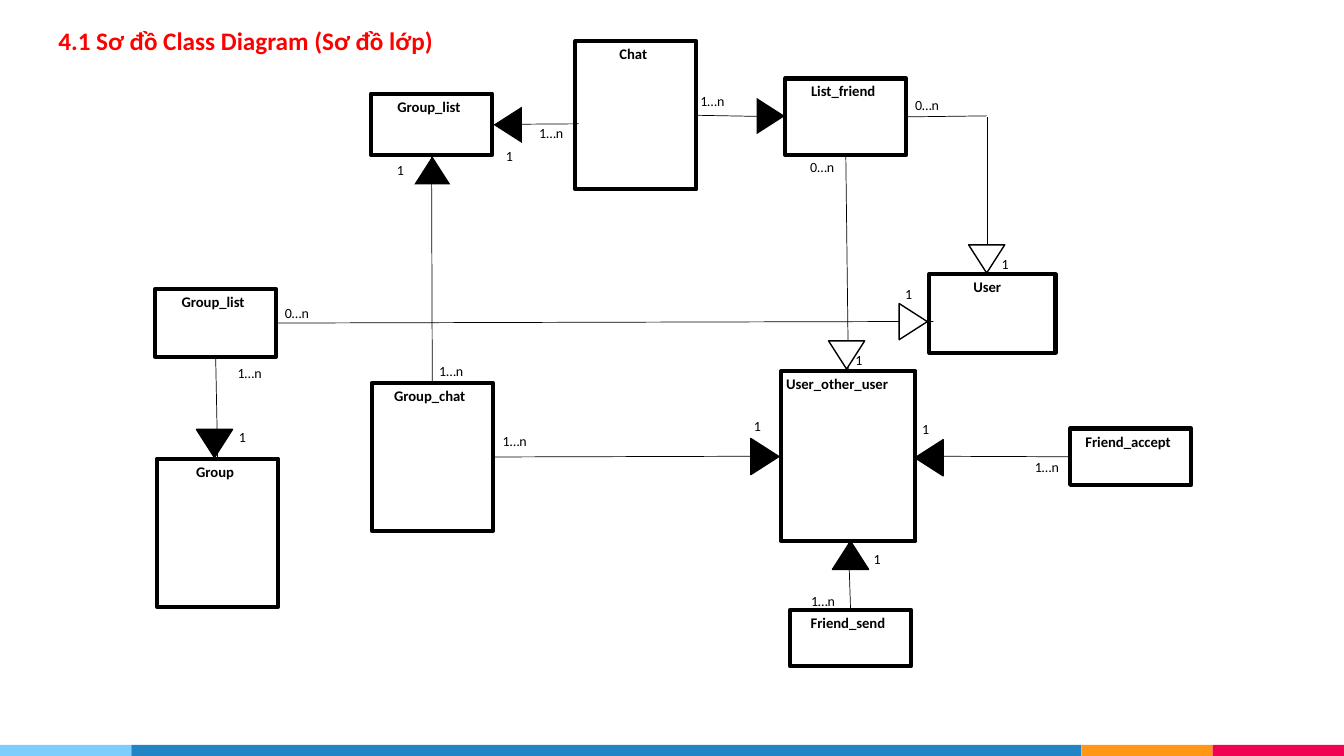
"""Build the class diagram slide of a chat application."""
from pptx import Presentation
from pptx import util as u
from pptx.dml import color
from pptx.enum import shapes, text
from pptx.oxml import ns
from lxml import etree

COLORS = {"black": "000000", "white": "FFFFFF", "red": "FF0000", "sky": "7ECEFD",
          "blue": "2185C5", "orange": "FF9715", "pink": "F20253"}

prs = Presentation()
prs.slide_width, prs.slide_height = u.Cm(33.87), u.Cm(19.05)
s = prs.slides.add_slide(prs.slide_layouts[6])


def add_shape(kind, x, y, w, h, fill, line=0):
    sp = s.shapes.add_shape(kind, u.Cm(x), u.Cm(y), u.Cm(w), u.Cm(h))
    sp.shadow.inherit = False
    sp.fill.solid()
    sp.fill.fore_color.rgb = color.RGBColor.from_string(COLORS[fill])
    if line:
        sp.line.color.rgb = color.RGBColor.from_string(COLORS["black"])
        sp.line.width = u.Pt(line)
    else:
        sp.line.fill.background()
    return sp


def add_text(content, x, y, w, h, size, ink="black", bold=False, wrap=False):
    tf = s.shapes.add_textbox(u.Cm(x), u.Cm(y), u.Cm(w), u.Cm(h)).text_frame
    tf.word_wrap = wrap
    tf.auto_size = text.MSO_AUTO_SIZE.SHAPE_TO_FIT_TEXT
    tf.text = content
    p = tf.paragraphs[0]
    r = p.runs[0]
    r.font.name, r.font.size, r.font.bold = "Calibri", u.Pt(size), bold
    r.font.color.rgb = color.RGBColor.from_string(COLORS[ink])
    return p


x = 0
for fill, w in [("sky", 3.31), ("blue", 23.94), ("orange", 3.31), ("pink", 3.31)]:
    add_shape(shapes.MSO_SHAPE.RECTANGLE, x, 18.77, w, 0.28, fill)
    x += w

p = add_text("4.1 Sơ đồ Class Diagram (Sơ đồ lớp)", 0.25, 0.41, 16.94, 1.09, 18, "red", True, True)
p.line_spacing = 1.15
pPr = p._p.get_or_add_pPr()
pPr.set("marL", str(u.Cm(0.97)))
pPr.set("indent", "0")

classes = [
    ("other", "User_other_user", 19.69, 9.35, 3.38, 4.29),
    ("chat_group", "Group_chat", 9.37, 9.65, 3.05, 3.73),
    ("left_list", "Group_list", 3.91, 7.29, 3.05, 1.7),
    ("group", "Group", 3.96, 11.56, 3.05, 3.73),
    ("send", "Friend_send", 19.91, 15.37, 3.05, 1.42),
    ("accept", "Friend_accept", 26.97, 10.8, 3.05, 1.42),
    ("user", "User", 23.42, 6.91, 3.18, 1.98),
    ("friends", "List_friend", 19.79, 1.98, 3.05, 1.93),
    ("top_list", "Group_list", 9.35, 2.36, 3.05, 1.55),
    ("chat", "Chat", 14.5, 1.04, 3.05, 3.73),
]
boxes = {}
for key, name, x, y, w, h in classes:
    boxes[key] = add_shape(shapes.MSO_SHAPE.RECTANGLE, x, y, w, h, "white", 3)
    if key == "other":
        add_text(name, x - 0.13, y - 0.03, 3.51, 0.71, 10.5, bold=True)
    else:
        p = add_text(name, x - 0.13, y - 0.03, 3.18, 0.71, 10.5, bold=True, wrap=True)
        p.alignment = text.PP_ALIGN.CENTER

TOP, LEFT, BOTTOM, RIGHT = range(4)
links = [
    (("friends", BOTTOM), ("other", TOP)),
    ((24.87, 2.95), (24.87, 6.88)),
    (("chat_group", RIGHT), ("other", LEFT)),
    (("left_list", RIGHT), (23.52, 8.1)),
    (("left_list", BOTTOM), ("group", TOP)),
    (("top_list", BOTTOM), ("chat_group", TOP)),
    (("top_list", RIGHT), (14.58, 3.12)),
    (("chat", RIGHT), ("friends", LEFT)),
    (("friends", RIGHT), (24.87, 2.92)),
    (("other", RIGHT), ("accept", LEFT)),
    (("other", BOTTOM), ("send", TOP)),
]
for begin, end in links:
    c = s.shapes.add_connector(shapes.MSO_CONNECTOR.STRAIGHT, 0, 0, 0, 0)
    if begin[0] in boxes:
        c.begin_connect(boxes[begin[0]], begin[1])
    else:
        c.begin_x, c.begin_y = u.Cm(begin[0]), u.Cm(begin[1])
    if end[0] in boxes:
        c.end_connect(boxes[end[0]], end[1])
    else:
        c.end_x, c.end_y = u.Cm(end[0]), u.Cm(end[1])
    c.line.color.rgb = color.RGBColor.from_string(COLORS["black"])
    c.line.width = u.Pt(0.5)
    etree.SubElement(c._element.spPr, ns.qn("a:effectLst"))

arrowheads = [
    (18.97, 2.57, 90, "black", 0), (24.41, 6.17, 180, "white", 1),
    (12.34, 2.79, 270, "black", 0), (10.44, 3.94, 0, "black", 0),
    (22.56, 7.75, 90, "white", 1), (4.95, 10.82, 180, "black", 1),
    (18.82, 11.15, 90, "black", 1), (22.96, 11.18, 270, "black", 1),
    (20.98, 13.64, 0, "black", 1), (20.88, 8.59, 180, "white", 1),
]
for x, y, angle, fill, line in arrowheads:
    sp = add_shape(shapes.MSO_SHAPE.ISOSCELES_TRIANGLE, x, y, 0.91, 0.71, fill, line)
    sp.rotation = angle

multiplicities = {
    "1": [(5.77, 10.67), (12.5, 3.58), (9.75, 3.94), (21.77, 13.74), (18.75, 10.39),
          (22.99, 10.46), (22.56, 7.06), (21.31, 8.74), (24.99, 6.32)],
    "1…n": [(5.74, 9.07), (13.34, 3.02), (10.82, 9.02), (12.42, 10.77), (20.19, 14.81),
            (25.83, 11.43), (17.4, 2.21)],
    "0…n": [(22.81, 2.31), (20.17, 3.86), (6.93, 7.54)],
}
for label, places in multiplicities.items():
    for x, y in places:
        add_text(label, x, y, 0.71 if label == "1" else 1.27, 0.69, 10)

prs.save("out.pptx")
